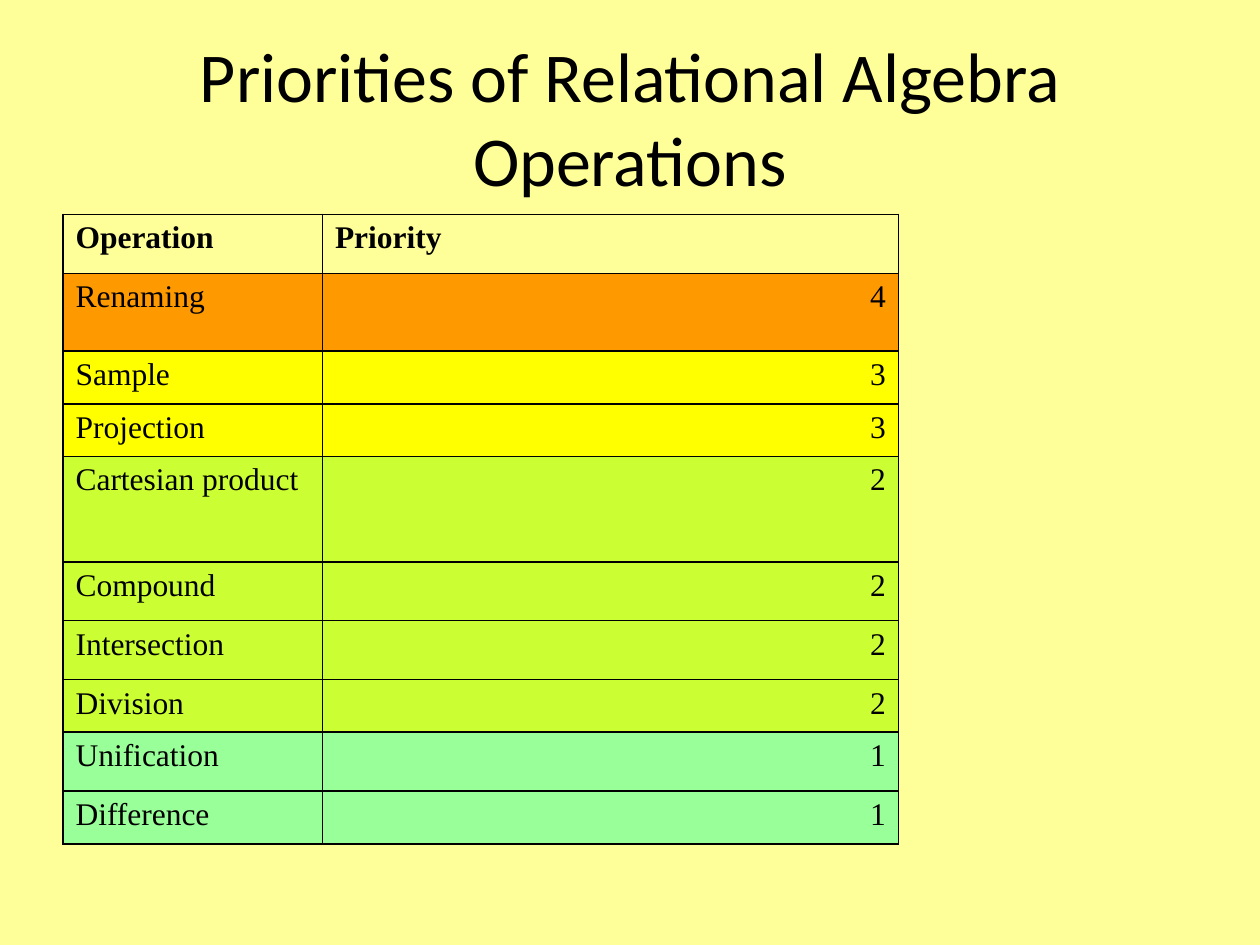
import pptx
import pptx.dml.color
import pptx.enum.text
import pptx.oxml.ns
import pptx.util
from lxml import etree

Cm = pptx.util.Cm
Pt = pptx.util.Pt
ALIGN = pptx.enum.text.PP_ALIGN

colours = {
    "background": "FFFF99",
    "ink": "000000",
    "4": "FF9900",
    "3": "FFFF00",
    "2": "CCFF33",
    "1": "99FF99",
}

# Operation, priority, row height in cm
operations = [
    ("Operation", "Priority", 1.19),
    ("Renaming", "4", 1.57),
    ("Sample", "3", 1.06),
    ("Projection", "3", 1.06),
    ("Cartesian product", "2", 2.13),
    ("Compound", "2", 1.18),
    ("Intersection", "2", 1.19),
    ("Division", "2", 1.06),
    ("Unification", "1", 1.19),
    ("Difference", "1", 1.06),
]


def rgb(name):
    return pptx.dml.color.RGBColor.from_string(colours[name])


def add_span(para, text, font, size, bold=False):
    span = para.add_run()
    span.text = text
    span.font.name = font
    span.font.size = Pt(size)
    span.font.bold = bold
    span.font.color.rgb = rgb("ink")


deck = pptx.Presentation()
deck.slide_width = Cm(25.4)
deck.slide_height = Cm(19.05)
page = deck.slides.add_slide(deck.slide_layouts[6])
page.background.fill.solid()
page.background.fill.fore_color.rgb = rgb("background")

# Title
title = page.shapes.add_textbox(Cm(1.27), Cm(0.76), Cm(22.86), Cm(3.18))
title.text_frame.word_wrap = True
title.text_frame.vertical_anchor = pptx.enum.text.MSO_ANCHOR.MIDDLE
para = title.text_frame.paragraphs[0]
para.alignment = ALIGN.CENTER
add_span(para, "Priorities of Relational Algebra Operations", "Calibri", 40)

# Priority table
total_height = sum(height for _, _, height in operations)
table = page.shapes.add_table(
    len(operations), 2, Cm(1.27), Cm(4.32), Cm(16.84), Cm(total_height)
).table
table.horz_banding = False
table.columns[0].width = Cm(5.23)
table.columns[1].width = Cm(11.61)

for row, (operation, priority, height) in enumerate(operations):
    table.rows[row].height = Cm(height)
    for column, text in enumerate((operation, priority)):
        cell = table.cell(row, column)
        para = cell.text_frame.paragraphs[0]
        para.alignment = ALIGN.RIGHT if row and column else ALIGN.LEFT
        add_span(para, text, "Times New Roman", 18, bold=row == 0)

        # Hanging indent
        indents = para._p.get_or_add_pPr()
        indents.set("marL", str(Cm(0.97)))
        indents.set("indent", str(Cm(-0.97)))

        # Thin black borders
        properties = cell._tc.get_or_add_tcPr()
        for side in ("a:lnL", "a:lnR", "a:lnT", "a:lnB"):
            line = etree.SubElement(properties, pptx.oxml.ns.qn(side), w=str(Pt(1)))
            fill = etree.SubElement(line, pptx.oxml.ns.qn("a:solidFill"))
            etree.SubElement(fill, pptx.oxml.ns.qn("a:srgbClr"), val=colours["ink"])

        # One colour per priority, header left clear
        if row:
            cell.fill.solid()
            cell.fill.fore_color.rgb = rgb(priority)
        else:
            cell.fill.background()

deck.save("out.pptx")
